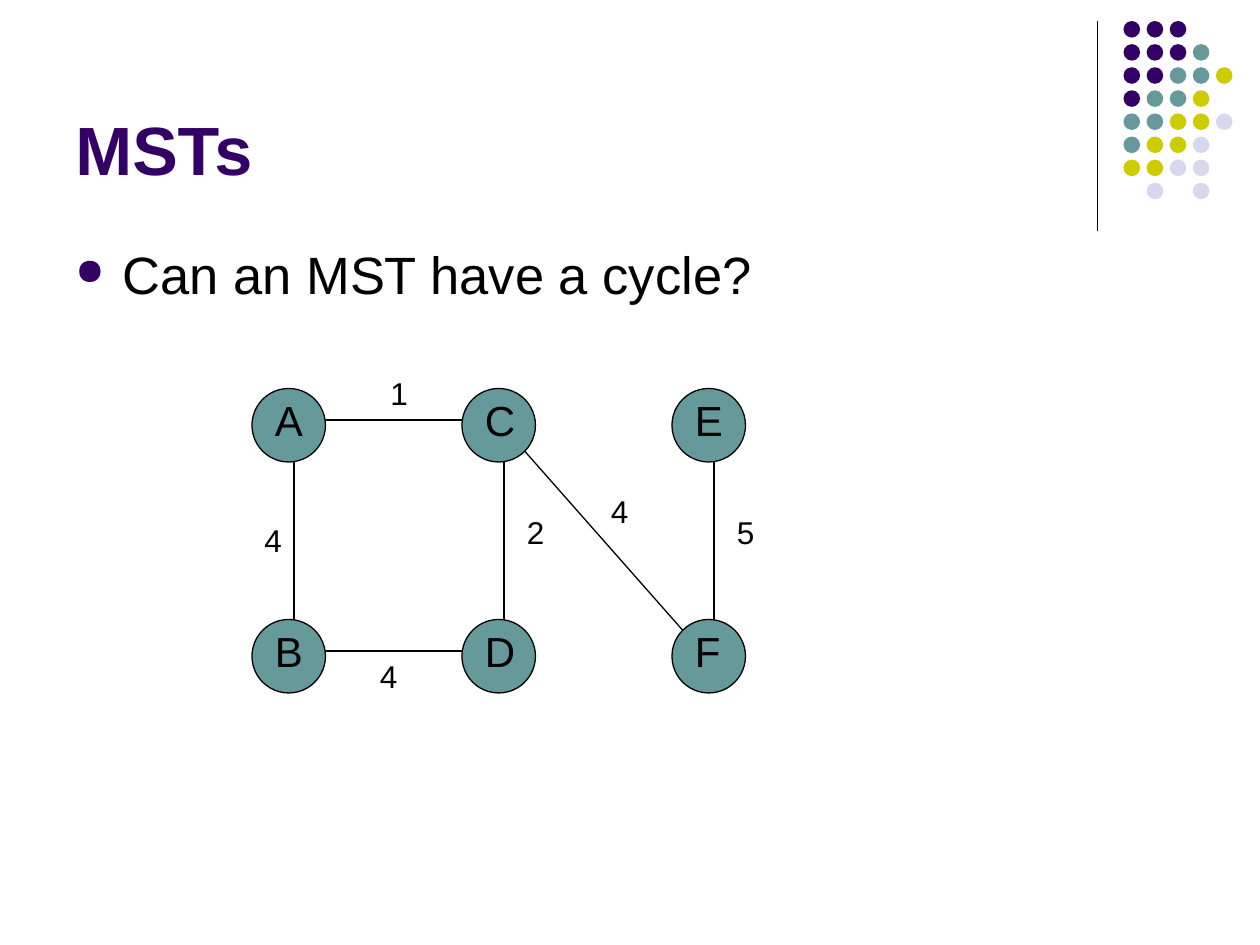
"""Build a slide that asks whether a minimum spanning tree can have a cycle."""
from dataclasses import dataclass

from lxml.etree import SubElement
from pptx import Presentation
from pptx.dml.color import RGBColor
from pptx.enum.shapes import MSO_CONNECTOR, MSO_SHAPE
from pptx.enum.text import MSO_ANCHOR
from pptx.oxml.ns import qn
from pptx.util import Pt


@dataclass(frozen=True)
class Theme:
    font: str = "Arial"
    purple: str = "330066"
    teal: str = "669999"
    yellow: str = "CCCC00"
    lavender: str = "D8D8EC"
    black: str = "000000"
    title_size: float = 39
    body_size: float = 30
    node_size: float = 24
    weight_size: float = 18
    line_width: float = 0.75


class SlideBuilder:
    def __init__(self, slide, theme):
        self.slide = slide
        self.theme = theme

    def text(self, content, left, top, width, height, size, color=None,
             bold=False, anchor=MSO_ANCHOR.TOP, shapes=None):
        shapes = shapes or self.slide.shapes
        box = shapes.add_textbox(Pt(left), Pt(top), Pt(width), Pt(height))
        frame = box.text_frame
        frame.word_wrap = True
        frame.vertical_anchor = anchor
        paragraph = frame.paragraphs[0]
        paragraph.text = content
        paragraph.font.name = self.theme.font
        paragraph.font.size = Pt(size)
        paragraph.font.bold = bold
        paragraph.font.color.rgb = RGBColor.from_string(color or self.theme.black)
        return paragraph

    def bullet(self, content, left, top, width, height):
        paragraph = self.text(content, left, top, width, height, self.theme.body_size)
        properties = paragraph._p.get_or_add_pPr()
        properties.set("marL", str(Pt(27)))
        properties.set("indent", str(Pt(-27)))
        bullet_color = properties.makeelement(qn("a:buClr"))
        SubElement(bullet_color, qn("a:srgbClr"), val=self.theme.purple)
        bullet_size = properties.makeelement(qn("a:buSzPct"), val="70000")
        bullet_character = properties.makeelement(qn("a:buChar"), char="●")
        for position, element in enumerate((bullet_color, bullet_size, bullet_character)):
            properties.insert(position, element)

    def circle(self, shapes, left, top, diameter, color, outlined=False):
        shape = shapes.add_shape(
            MSO_SHAPE.OVAL, Pt(left), Pt(top), Pt(diameter), Pt(diameter))
        shape.shadow.inherit = False
        shape.fill.solid()
        shape.fill.fore_color.rgb = RGBColor.from_string(color)
        if outlined:
            shape.line.color.rgb = RGBColor.from_string(self.theme.black)
            shape.line.width = Pt(self.theme.line_width)
        else:
            shape.line.fill.background()

    def line(self, start_x, start_y, end_x, end_y):
        connector = self.slide.shapes.add_connector(
            MSO_CONNECTOR.STRAIGHT, Pt(start_x), Pt(start_y), Pt(end_x), Pt(end_y))
        connector.line.color.rgb = RGBColor.from_string(self.theme.black)
        connector.line.width = Pt(self.theme.line_width)
        SubElement(connector._element.spPr, qn("a:effectLst"))

    def node(self, name, left, top, diameter):
        shapes = self.slide.shapes.add_group_shape().shapes
        self.circle(shapes, left, top, diameter, self.theme.teal, outlined=True)
        self.text(name, left + 6, top, 36, 36, self.theme.node_size, shapes=shapes)

    def weight(self, value, left, top):
        self.text(value, left, top, 42, 29, self.theme.weight_size)

    def dot_grid(self, rows, left, top, pitch, diameter):
        colors = {"P": self.theme.purple, "T": self.theme.teal,
                  "Y": self.theme.yellow, "L": self.theme.lavender}
        shapes = self.slide.shapes.add_group_shape().shapes
        for row, codes in enumerate(rows):
            for column, code in enumerate(codes):
                if code in colors:
                    self.circle(shapes, left + column * pitch, top + row * pitch,
                                diameter, colors[code])


def main():
    presentation = Presentation()
    presentation.slide_width, presentation.slide_height = Pt(720), Pt(540)
    theme = Theme()
    slide = presentation.slides.add_slide(presentation.slide_layouts[6])
    builder = SlideBuilder(slide, theme)

    builder.line(627, 12, 627, 132)
    dot_rows = ("PPP", "PPPT", "PPTTY", "PTTY", "TTYYL", "TYYL", "YYLL", ".L.L")
    builder.dot_grid(dot_rows, left=642, top=12, pitch=13.2, diameter=9.5)

    builder.text("MSTs", 36, 9.5, 594, 102, theme.title_size, theme.purple,
                 bold=True, anchor=MSO_ANCHOR.BOTTOM)
    builder.bullet("Can an MST have a cycle?", 36, 135, 648, 57)

    columns, (upper, lower), diameter = (144, 264, 384), (222, 354), 42
    for left, (upper_name, lower_name) in zip(columns, ("AB", "CD", "EF")):
        builder.node(upper_name, left, upper, diameter)
        builder.node(lower_name, left, lower, diameter)
        builder.line(left + 24, lower, left + 24, upper + diameter)
    for top in (upper, lower):
        builder.line(columns[0] + diameter, top + 18, columns[1], top + 18)
    builder.line(columns[1] + 36, upper + 36, columns[2] + 6, lower + 6)

    weights = (("4", 144, 294), ("1", 216, 210), ("2", 294, 289.5),
               ("5", 414, 289.5), ("4", 342, 277.5), ("4", 210, 372))
    for value, left, top in weights:
        builder.weight(value, left, top)

    presentation.save("out.pptx")


if __name__ == "__main__":
    main()
